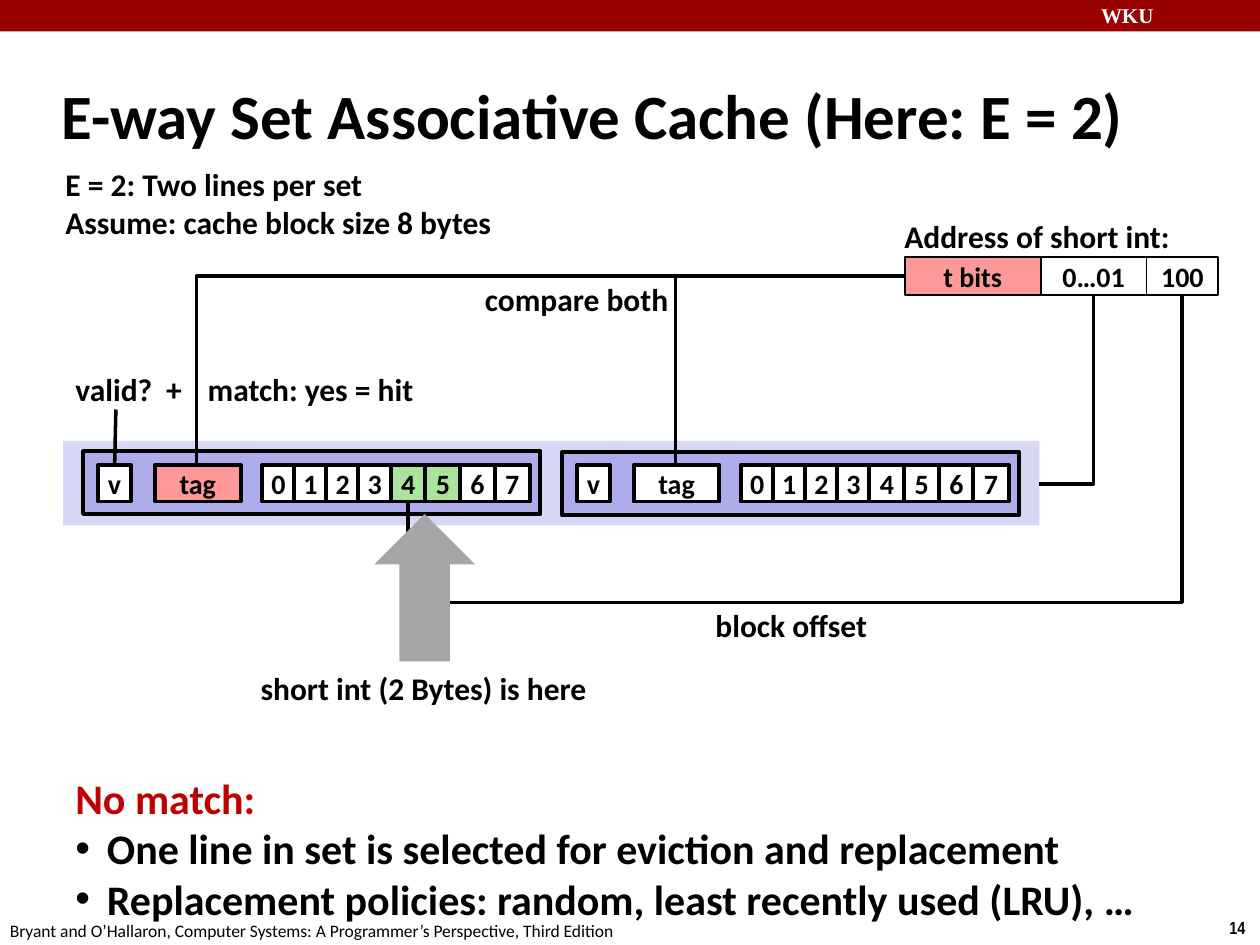
from dataclasses import dataclass
from typing import Optional

import pptx
import pptx.dml.color
import pptx.enum.shapes
import pptx.enum.text
import pptx.oxml
import pptx.oxml.ns
import pptx.util

Inches = pptx.util.Inches
Pt = pptx.util.Pt
RGB = pptx.dml.color.RGBColor.from_string
Shape = pptx.enum.shapes.MSO_SHAPE
Connector = pptx.enum.shapes.MSO_CONNECTOR
Anchor = pptx.enum.text.MSO_ANCHOR
Align = pptx.enum.text.PP_ALIGN
AutoSize = pptx.enum.text.MSO_AUTO_SIZE


@dataclass(frozen=True)
class Theme:
    font: str = "Calibri"
    black: str = "000000"
    white: str = "FFFFFF"
    banner: str = "990000"
    alert: str = "C00000"
    tag: str = "FF9999"
    hit: str = "A9E39D"
    cache_set: str = "D6D6F5"
    cache_line: str = "ADADEB"
    arrow: str = "A6A6A6"
    title_size: int = 36
    note_size: int = 24
    label_size: int = 18
    cell_size: int = 16
    banner_size: int = 12
    footer_size: int = 10
    thin: float = 1
    thick: float = 2.25
    wire: float = 2


THEME = Theme()


@dataclass(frozen=True)
class Label:
    lines: tuple
    left: float
    top: float
    width: float
    height: float = 0.4
    size: int = THEME.label_size
    color: str = THEME.black
    font: str = THEME.font
    bold: bool = True
    wrap: bool = False
    tab: Optional[float] = None


@dataclass(frozen=True)
class Box:
    left: float
    top: float
    width: float
    height: float
    fill: str
    text: str = ""
    border: Optional[float] = None
    kind: int = Shape.RECTANGLE


@dataclass(frozen=True)
class CacheLine:
    left: float
    top: float
    tag_fill: str
    hit_bytes: tuple = ()


def apply_format(target, values: dict) -> None:
    for name, value in values.items():
        setattr(target, name, value)


def style_font(font, size: int, color: str = THEME.black,
               name: str = THEME.font, bold: bool = True) -> None:
    apply_format(font, {"name": name, "size": Pt(size), "bold": bold})
    font.color.rgb = RGB(color)


def add_xml(parent, xml: str) -> None:
    namespaces = pptx.oxml.ns.nsdecls("a")
    parent.append(pptx.oxml.parse_xml(xml.replace("@", namespaces)))


def indent(paragraph, hang: float) -> None:
    properties = paragraph._p.get_or_add_pPr()
    properties.set("marL", str(Inches(hang)))
    properties.set("indent", str(-Inches(hang)))


def add_label(slide, label: Label):
    box = slide.shapes.add_textbox(Inches(label.left), Inches(label.top),
                                   Inches(label.width), Inches(label.height))
    frame = box.text_frame
    apply_format(frame, {"word_wrap": label.wrap,
                         "auto_size": AutoSize.SHAPE_TO_FIT_TEXT})
    for index, line in enumerate(label.lines):
        paragraph = frame.add_paragraph() if index else frame.paragraphs[0]
        if label.tab:
            add_xml(paragraph._p.get_or_add_pPr(),
                    f'<a:tabLst @><a:tab pos="{Inches(label.tab)}" algn="l"/></a:tabLst>')
        run = paragraph.add_run()
        run.text = line
        style_font(run.font, label.size, label.color, label.font, label.bold)
    return box


def add_box(slide, box: Box):
    shape = slide.shapes.add_shape(box.kind, Inches(box.left), Inches(box.top),
                                   Inches(box.width), Inches(box.height))
    shape.shadow.inherit = False
    shape.fill.solid()
    shape.fill.fore_color.rgb = RGB(box.fill)
    if box.border:
        shape.line.color.rgb = RGB(THEME.black)
        shape.line.width = Pt(box.border)
    else:
        shape.line.fill.background()
    if box.text:
        frame = shape.text_frame
        apply_format(frame, {"word_wrap": False, "vertical_anchor": Anchor.MIDDLE})
        paragraph = frame.paragraphs[0]
        paragraph.alignment = Align.CENTER
        run = paragraph.add_run()
        run.text = box.text
        style_font(run.font, THEME.cell_size)
    return shape


def add_cache_line(slide, line: CacheLine):
    """Draw one line of the set and return its valid-bit cell."""
    add_box(slide, Box(line.left, line.top, 3.63, 0.5, THEME.cache_line,
                       border=THEME.thick))

    def cell(offset: float, width: float, fill: str, text: str):
        return add_box(slide, Box(line.left + offset, 3.69, width, 0.29, fill,
                                  text, THEME.thick))

    valid = cell(0.12, 0.26, THEME.white, "v")
    cell(0.57, 0.68, line.tag_fill, "tag")
    for byte in range(8):
        upper = max(byte - 4, 0)
        offset = 1.42 + 0.255 * (byte - upper) + 0.275 * upper
        fill = THEME.hit if byte in line.hit_bytes else THEME.white
        cell(offset, 0.26 if byte < 4 else 0.28, fill, str(byte))
    return valid


def add_wire(slide, start: tuple, end: tuple, kind=Connector.STRAIGHT):
    wire = slide.shapes.add_connector(kind, *map(Inches, start + end))
    wire.line.color.rgb = RGB(THEME.black)
    wire.line.width = Pt(THEME.wire)
    add_xml(wire._element.spPr, "<a:effectLst @/>")
    return wire


def add_corner(slide, start: tuple, end: tuple) -> None:
    """Wire that runs across from start, then up or down to end."""
    wire = add_wire(slide, start, end, Connector.ELBOW)
    wire._element.spPr.prstGeom.set("prst", "bentConnector2")


def add_drop(slide, start: tuple, end: tuple, low: float) -> None:
    """Wire that goes down from start to low, left, and up to end."""
    across, down = start[0] - end[0], end[1] - start[1]
    left = (start[0] + end[0] - down) / 2
    top = (start[1] + end[1] - across) / 2
    wire = add_wire(slide, (left, top), (left + down, top + across), Connector.ELBOW)
    properties = wire._element.spPr
    properties.xfrm.set("rot", str(90 * 60000))
    bend = round((low - start[1]) / down * 100000)
    guides = properties.prstGeom.get_or_add_avLst()
    add_xml(guides, f'<a:gd @ name="adj1" fmla="val {bend}"/>')


def main() -> None:
    deck = pptx.Presentation()
    apply_format(deck, {"slide_width": Inches(10), "slide_height": Inches(7.5)})
    slide = deck.slides.add_slide(deck.slide_layouts[5])

    # Banner and footer
    add_box(slide, Box(0, 0, 10, 0.25, THEME.banner))
    add_label(slide, Label(("WKU",), 8.64, -0.03, 1.36, 0.3, THEME.banner_size,
                           THEME.white, "Times New Roman", wrap=True))
    add_label(slide, Label(("14",), 9.66, 7.23, 0.34, 0.27, THEME.footer_size,
                           font="Arial Narrow"))
    add_label(slide, Label(
        ("Bryant and O’Hallaron, Computer Systems: A Programmer’s Perspective, Third Edition",),
        -0.02, 7.25, 5.08, 0.27, THEME.footer_size, bold=False))

    # Title
    title = slide.shapes.title
    apply_format(title, {"left": Inches(0.39), "top": Inches(0.49),
                         "width": Inches(9.02), "height": Inches(0.83)})
    title.text_frame.text = "E-way Set Associative Cache (Here: E = 2)"
    apply_format(title.text_frame, {"vertical_anchor": Anchor.MIDDLE, "word_wrap": True,
                                    "auto_size": AutoSize.NONE})
    heading = title.text_frame.paragraphs[0]
    heading.alignment = Align.LEFT
    indent(heading, 0.13)
    style_font(heading.runs[0].font, THEME.title_size)

    # Address fields
    for text, left, width, fill in (("t bits", 7.18, 1.08, THEME.tag),
                                    ("0…01", 8.26, 0.84, THEME.white),
                                    ("100", 9.1, 0.57, THEME.white)):
        add_box(slide, Box(left, 2.04, width, 0.3, fill, text, THEME.thin))

    # Cache set with its two lines
    add_box(slide, Box(0.5, 3.5, 7.75, 0.67, THEME.cache_set))
    valid = add_cache_line(slide, CacheLine(0.66, 3.58, THEME.tag, (4, 5)))
    add_cache_line(slide, CacheLine(4.46, 3.59, THEME.white))

    # Wires from the address to the set
    add_corner(slide, (8.25, 3.84), (8.68, 2.33))
    for tag_center in (5.36, 1.56):
        add_corner(slide, (7.18, 2.19), (tag_center, 3.69))
    add_wire(slide, (0.92, 3.25), (0.91, 3.69)).end_connect(valid, 0)
    add_drop(slide, (9.38, 2.33), (3.24, 3.98), 4.78)
    add_box(slide, Box(2.97, 4.08, 0.8, 1.17, THEME.arrow, kind=Shape.UP_ARROW))

    # Labels
    for label in (
        Label(("E = 2: Two lines per set", "Assume: cache block size 8 bytes"),
              0.42, 1.26, 3.61, 0.71),
        Label(("Address of short int:",), 7.08, 1.67, 2.33),
        Label(("compare both",), 3.75, 2.17, 1.67),
        Label(("valid?\t+",), 0.5, 2.89, 1.12, tab=0.72),
        Label(("match: yes = hit",), 1.55, 2.89, 1.85),
        Label(("block offset",), 5.58, 4.76, 1.42),
        Label(("short int (2 Bytes) is here",), 1.97, 5.26, 2.81),
    ):
        add_label(slide, label)

    # What happens without a match
    miss = add_label(slide, Label(
        ("No match:",
         "One line in set is selected for eviction and replacement",
         "Replacement policies: random, least recently used (LRU), …"),
        0.5, 6.08, 8.73, 1.31, THEME.note_size))
    lead, *policies = miss.text_frame.paragraphs
    lead.runs[0].font.color.rgb = RGB(THEME.alert)
    for policy in policies:
        indent(policy, 0.25)
        add_xml(policy._p.pPr, '<a:buFont @ typeface="Arial"/>')
        add_xml(policy._p.pPr, '<a:buChar @ char="•"/>')

    deck.save("out.pptx")


if __name__ == "__main__":
    main()
